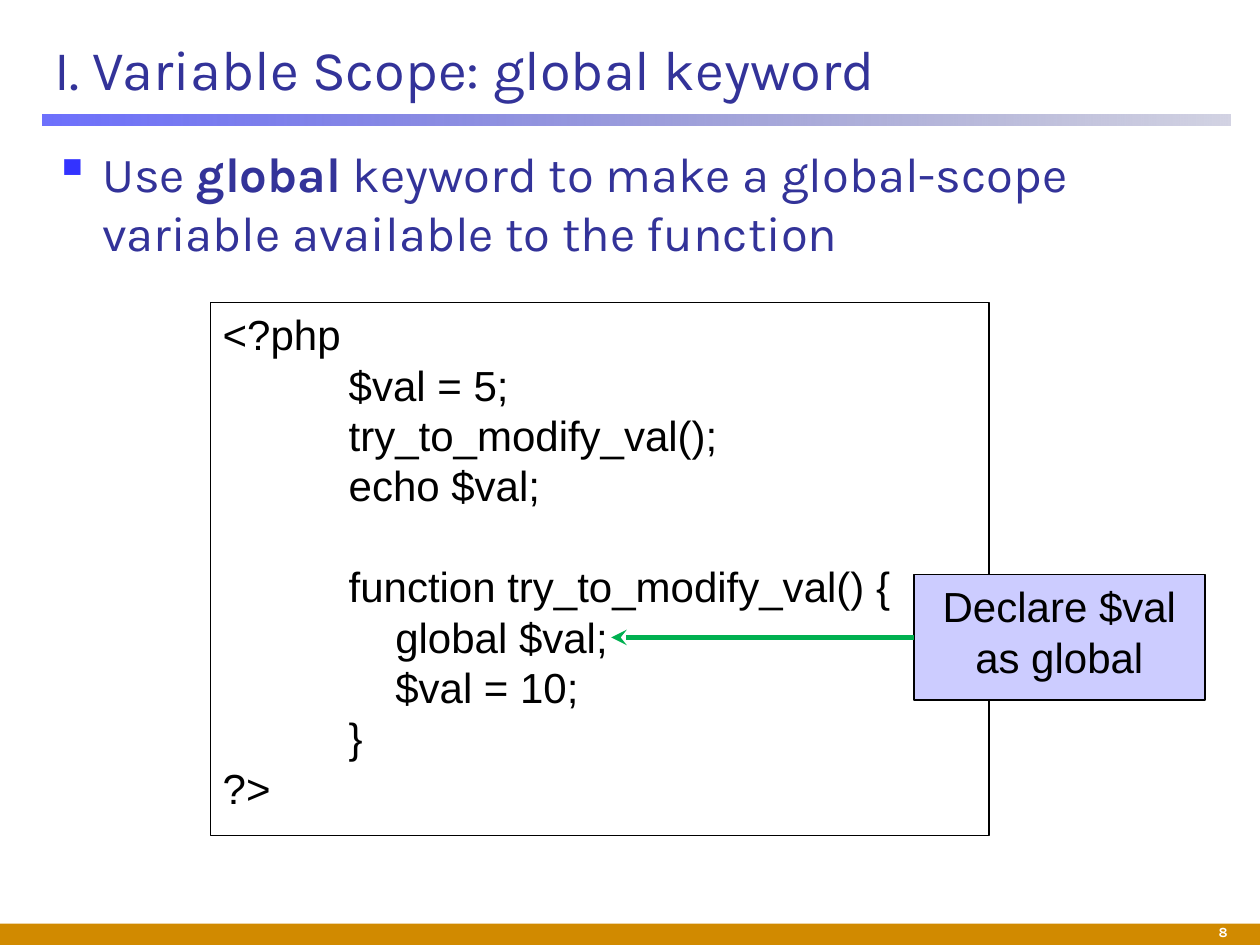
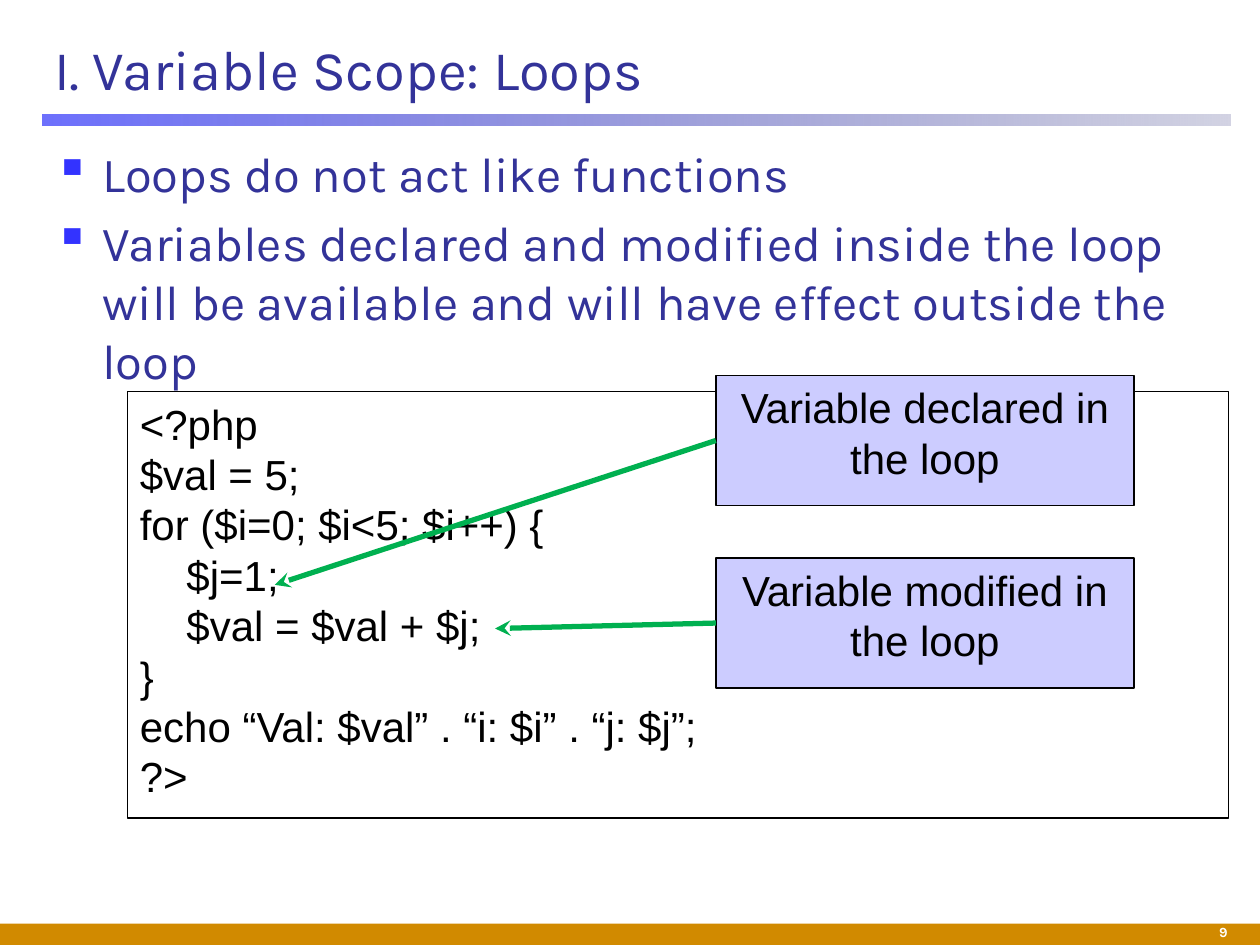
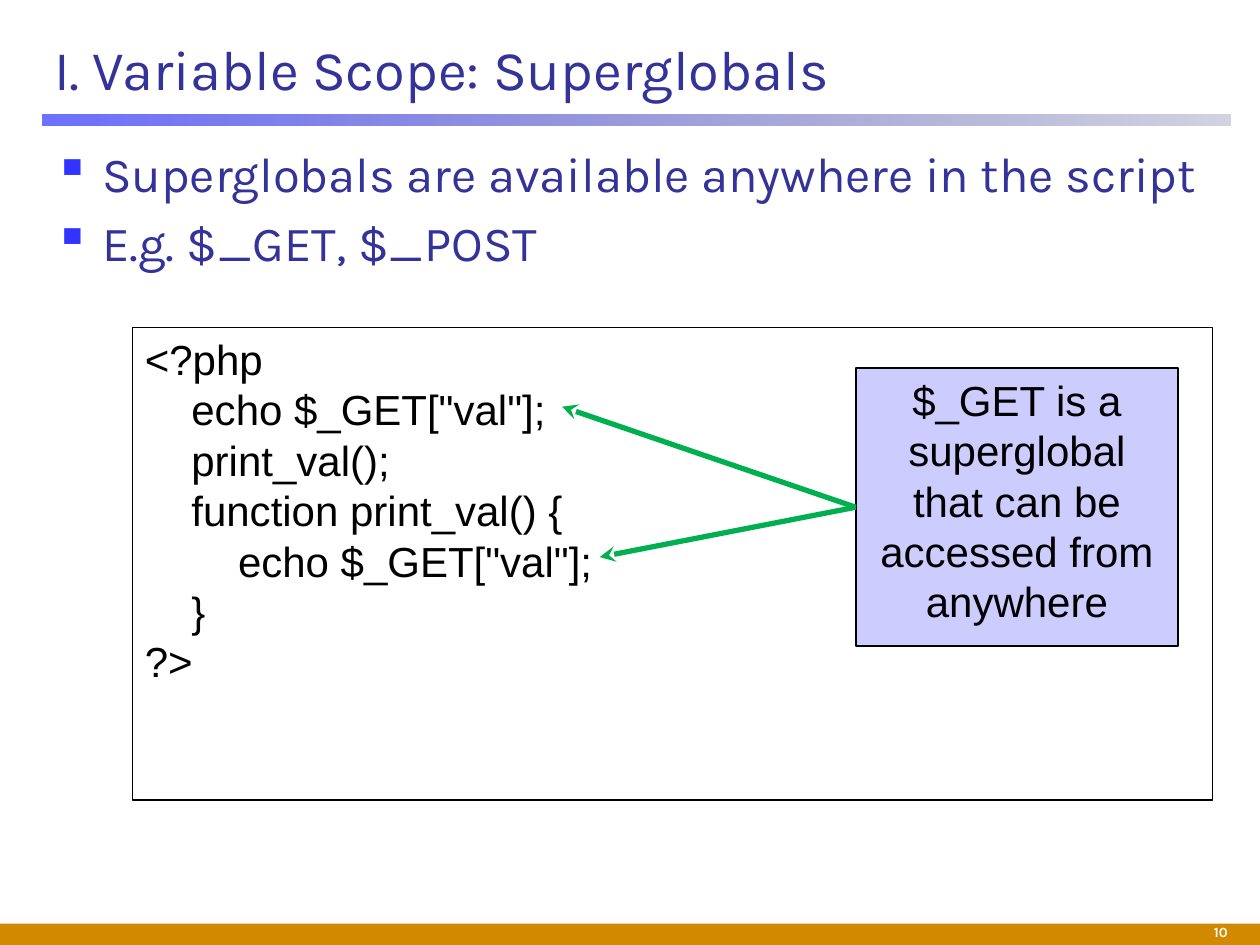
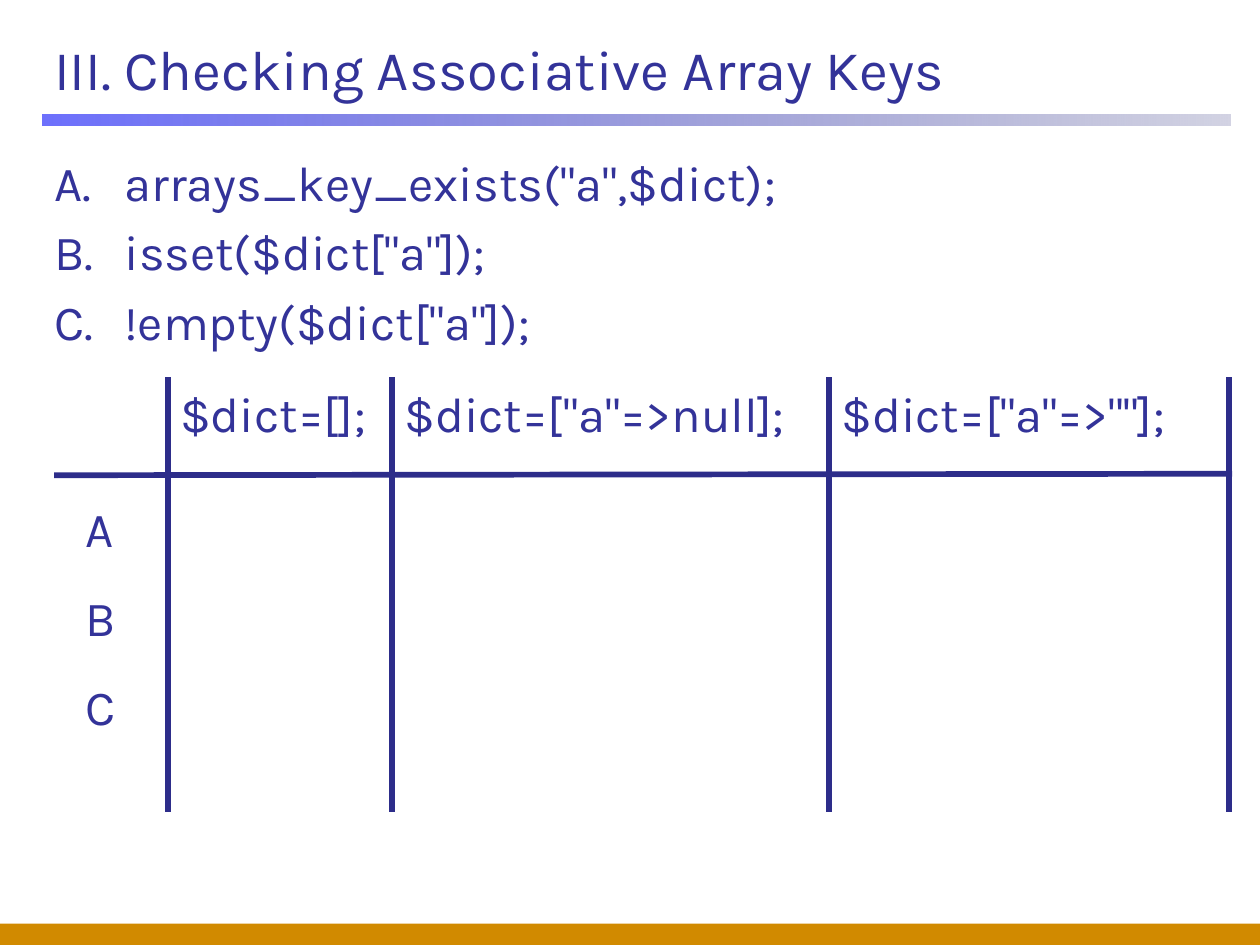
from lxml.etree import SubElement
from pptx import Presentation
from pptx.dml.color import RGBColor
from pptx.enum.shapes import MSO_CONNECTOR as Connector, MSO_SHAPE as Shape
from pptx.enum.text import MSO_ANCHOR as Anchor, PP_ALIGN as Align
from pptx.oxml.ns import qn
from pptx.util import Cm, Pt

COLORS = {
    "ink": "333399", "bullet": "3333FF", "band": "D18A00", "white": "FFFFFF",
    "rule_start": "464AFC", "rule_end": "202275", "grid": "2D2D8A",
    "code": "000000", "callout": "CCCCFF", "arrow": "00B050",
}
HEADING_FONT, CODE_FONT = "Karla", "Arial"
LEFT, CONTENT_WIDTH = 0.84, 23.93
STEP = 0.94  # one code indent
TAB = 2.54


def color(name):
    return RGBColor.from_string(COLORS[name])


class Deck:
    def __init__(self):
        self.presentation = Presentation()
        self.presentation.slide_width = Cm(25.4)
        self.presentation.slide_height = Cm(19.05)
        self.slide = None

    def add_slide(self, title, number=None):
        self.slide = self.presentation.slides.add_slide(self.presentation.slide_layouts[6])
        self.rectangle(0, 18.62, 25.4, 0.43, fill="band")
        self.title_rule()
        if number:
            self.page_number(number)
        frame = self.text(title, LEFT, 0.43, CONTENT_WIDTH, 1.9, size=32)
        frame.vertical_anchor = Anchor.MIDDLE

    def style(self, paragraph, size, font=HEADING_FONT, ink="ink", bold=None):
        for run in paragraph.runs:
            run.font.size = Pt(size)
            run.font.name = font
            run.font.color.rgb = color(ink)
            run.font.bold = bold

    def rectangle(self, left, top, width, height, fill=None, line=None):
        """Draw a rectangle; line is a width in points."""
        shape = self.slide.shapes.add_shape(
            Shape.RECTANGLE, Cm(left), Cm(top), Cm(width), Cm(height))
        shape.shadow.inherit = False
        if fill:
            shape.fill.solid()
            shape.fill.fore_color.rgb = color(fill)
        else:
            shape.fill.background()
        if line:
            shape.line.color.rgb = color("code")
            shape.line.width = Pt(line)
        else:
            shape.line.fill.background()
        return shape

    def title_rule(self):
        rule = self.rectangle(0.86, 2.31, 23.95, 0.23)
        rule.fill.gradient()
        rule.fill.gradient_angle = 0
        ends = (("rule_start", 79), ("rule_end", 20))
        for stop, (name, opacity) in zip(rule.fill.gradient_stops, ends):
            stop.color.rgb = color(name)
        for element, (name, opacity) in zip(rule._element.spPr.iter(qn("a:srgbClr")), ends):
            SubElement(element, qn("a:alpha"), val=str(opacity * 1000))

    def text(self, text, left, top, width, height, size=28, wrap=True):
        box = self.slide.shapes.add_textbox(Cm(left), Cm(top), Cm(width), Cm(height))
        frame = box.text_frame
        frame.word_wrap = wrap
        frame.text = text
        for paragraph in frame.paragraphs:
            self.style(paragraph, size)
        return frame

    def page_number(self, number):
        frame = self.text(str(number), 21.39, 18.16, 3.61, 0.84)
        frame.margin_top = Cm(0.46)
        paragraph = frame.paragraphs[0]
        paragraph.alignment = Align.RIGHT
        self.style(paragraph, 8, ink="white", bold=True)

    def bullets(self, items, top=2.77, height=15.21, indent=0.97, lettered=False):
        frame = self.text("\n".join(items), LEFT, top, CONTENT_WIDTH, height)
        for paragraph in frame.paragraphs:
            paragraph.space_before = Pt(6)
            properties = paragraph._p.get_or_add_pPr()
            properties.set("marL", str(Cm(indent)))
            properties.set("indent", str(-Cm(indent)))
            bullet_color = SubElement(properties, qn("a:buClr"))
            SubElement(bullet_color, qn("a:srgbClr"),
                       val=COLORS["ink" if lettered else "bullet"])
            if lettered:
                SubElement(properties, qn("a:buAutoNum"), type="alphaUcPeriod")
            else:
                SubElement(properties, qn("a:buChar"), char="▪")
        return frame

    def code(self, left, top, width, height, lines):
        """Fill a framed box with (indent in cm, text) lines; None leaves a gap."""
        frame = self.rectangle(left, top, width, height, line=0.75).text_frame
        frame.word_wrap = True
        frame.vertical_anchor = Anchor.TOP
        frame.text = "\n".join(line[1] for line in lines if line)
        paragraphs = iter(frame.paragraphs)
        gap = 0
        for line in lines:
            if line is None:
                gap = 28.8
                continue
            paragraph = next(paragraphs)
            paragraph.alignment = Align.LEFT
            paragraph.space_before = Pt(gap)
            paragraph._p.get_or_add_pPr().set("marL", str(Cm(line[0])))
            self.style(paragraph, 24, CODE_FONT, "code")
            gap = 0

    def callout(self, text, left, top, width, height, targets):
        """Draw a note with an arrow from its left side to each target point."""
        shape = self.rectangle(left, top, width, height, fill="callout", line=1)
        frame = shape.text_frame
        frame.word_wrap = True
        frame.vertical_anchor = Anchor.TOP
        frame.text = text
        frame.paragraphs[0].alignment = Align.CENTER
        self.style(frame.paragraphs[0], 24, CODE_FONT, "code")
        for target in targets:
            arrow = self.line((left, top + height / 2), target, "arrow", 3)
            arrow.begin_connect(shape, 1)
            SubElement(arrow.line._get_or_add_ln(), qn("a:tailEnd"), type="stealth")

    def line(self, start, end, name="grid", width=3.25):
        connector = self.slide.shapes.add_connector(
            Connector.STRAIGHT, *(Cm(value) for value in (*start, *end)))
        connector.line.color.rgb = color(name)
        connector.line.width = Pt(width)
        SubElement(connector._element.spPr, qn("a:effectLst"))
        return connector


def global_keyword(deck):
    deck.add_slide("I. Variable Scope: global keyword", 8)
    frame = deck.bullets([
        "Use global keyword to make a global-scope variable available to the function"])
    paragraph = frame.paragraphs[0]
    before, keyword, after = paragraph.runs[0].text.partition("global")
    paragraph.runs[0].text = before
    for part in (keyword, after):
        paragraph.add_run().text = part
    deck.style(paragraph, 28)
    paragraph.runs[1].font.bold = True
    deck.code(4.24, 6.1, 15.7, 10.74, [
        (0, "<?php"),
        (TAB, "$val = 5;"),
        (TAB, "try_to_modify_val();"),
        (TAB, "echo $val;"),
        None,
        (TAB, "function try_to_modify_val() {"),
        (TAB + STEP, "global $val;"),
        (TAB + STEP, "$val = 10;"),
        (TAB, "}"),
        (0, "?>"),
    ])
    deck.callout("Declare $val as global", 18.42, 11.58, 5.87, 2.54, [(12.32, 12.85)])


def loops(deck):
    deck.add_slide("I. Variable Scope: Loops", 9)
    deck.bullets([
        "Loops do not act like functions",
        "Variables declared and modified inside the loop will be available "
        "and will have effect outside the loop",
    ])
    deck.code(2.57, 7.9, 22.2, 8.59, [
        (0, "<?php"),
        (0, "$val = 5;"),
        (0, "for ($i=0; $i<5; $i++) {"),
        (STEP, "$j=1;"),
        (STEP, "$val = $val + $j;"),
        (0, "}"),
        (0, "echo “Val: $val” . “i: $i” . “j: $j”;"),
        (0, "?>"),
    ])
    notes = (("declared", 7.57, (5.54, 11.79)), ("modified", 11.25, (9.98, 12.67)))
    for action, top, target in notes:
        deck.callout(f"Variable {action} in the loop", 14.43, top, 8.43, 2.62, [target])


def superglobals(deck):
    deck.add_slide("I. Variable Scope: Superglobals", 10)
    deck.bullets(["Superglobals are available anywhere in the script",
                  "E.g. $_GET, $_POST"], height=3.2)
    deck.code(2.67, 6.6, 21.77, 9.53, [
        (0, "<?php"),
        (STEP, 'echo $_GET["val"];'),
        (STEP, "print_val();"),
        (STEP, "function print_val() {"),
        (2 * STEP, 'echo $_GET["val"];'),
        (STEP, "}"),
        (0, "?>"),
    ])
    deck.callout("$_GET is a superglobal that can be accessed from anywhere",
                 17.25, 7.42, 6.5, 5.61, [(12.09, 11.23), (11.33, 8.2)])


def array_keys(deck):
    deck.add_slide("III. Checking Associative Array Keys")
    deck.bullets(['arrays_key_exists("a",$dict);', 'isset($dict["a"]);', '!empty($dict["a"]);'],
                 top=2.95, height=4.57, indent=1.42, lettered=True)
    top, bottom = 7.6, 16.36
    columns = (3.38, 7.9, 16.71, 24.77)
    headers = ("$dict=[];", '$dict=["a"=>null];', '$dict=["a"=>""];')
    for header, left, right in zip(headers, columns, columns[1:]):
        deck.text(header, left, top, right - left, 1.45, wrap=False)
    for x in columns:
        deck.line((x, top), (x, bottom))
    deck.line((1.09, 9.58), (24.84, 9.55))
    for row, letter in enumerate("ABC"):
        deck.text(letter, 1.47, 9.93 + row * 1.79, 1.12, 1.45, wrap=False)


def main():
    deck = Deck()
    for build in (global_keyword, loops, superglobals, array_keys):
        build(deck)
    deck.presentation.save("out.pptx")


if __name__ == "__main__":
    main()
